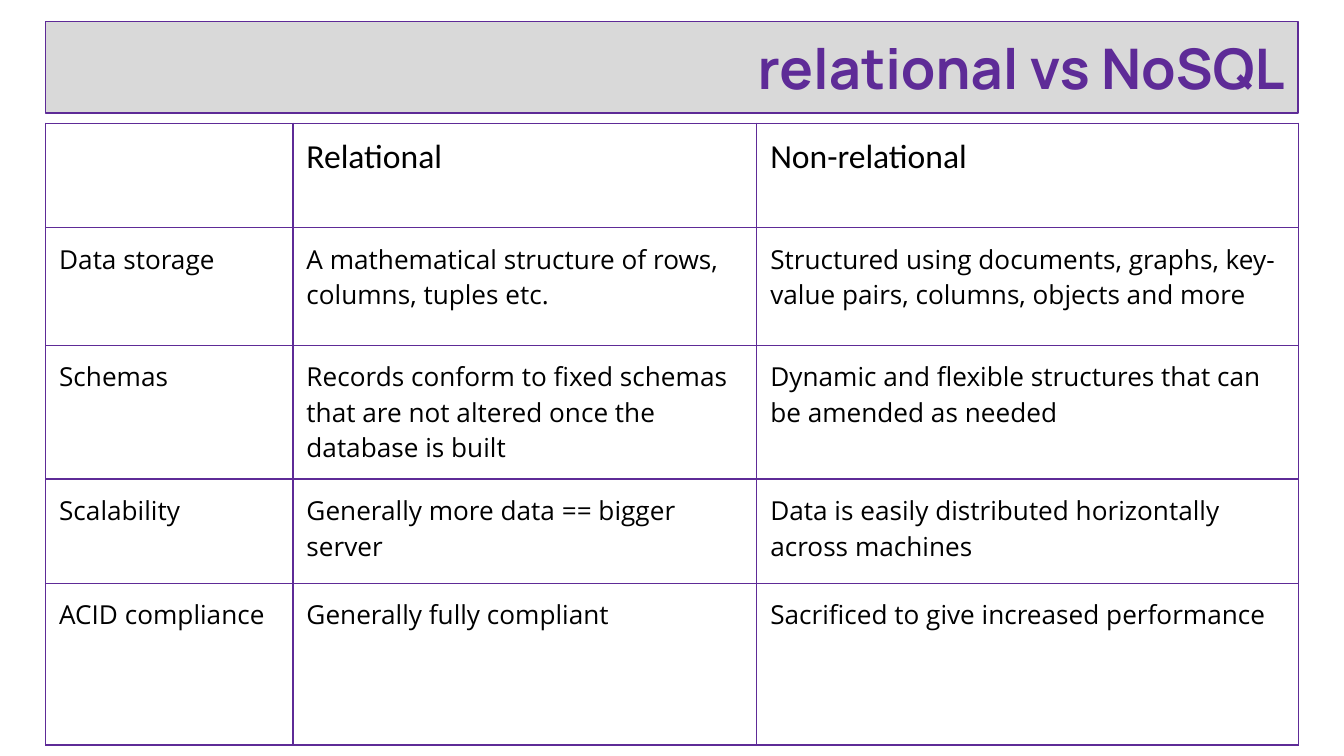
from pptx import Presentation
from pptx.dml.color import RGBColor
from pptx.enum.text import MSO_ANCHOR, MSO_AUTO_SIZE, PP_ALIGN
from pptx.oxml.ns import qn
from pptx.util import Pt
from lxml.etree import SubElement

COLORS = {"purple": "5E2B97", "grey": "D9D9D9", "white": "FFFFFF", "black": "000000"}
LEFT, WIDTH, PAD = 24.5, 671, 7.2
COLS = [132.5, 248.5, 290]
HEIGHTS = [56, 63, 63, 56, 86.5]
ROWS = [
    ["", "Relational", "Non-relational"],
    ["Data storage",
     "A mathematical structure of rows, columns, tuples etc.",
     "Structured using documents, graphs, key-value pairs, columns, objects and more"],
    ["Schemas",
     "Records conform to fixed schemas that are not altered once the database is built",
     "Dynamic and flexible structures that can be amended as needed"],
    ["Scalability",
     "Generally more data == bigger server",
     "Data is easily distributed horizontally across machines"],
    ["ACID compliance",
     "Generally fully compliant",
     "Sacrificed to give increased performance"],
]


class Deck:
    def __init__(self):
        self.file = Presentation()
        self.file.slide_width, self.file.slide_height = Pt(720), Pt(405)
        self.slide = self.file.slides.add_slide(self.file.slide_layouts[5])

    def color(self, name):
        return RGBColor.from_string(COLORS[name])

    def style(self, frame, face, size, color, bold=False):
        for para in frame.paragraphs:
            for run in para.runs:
                font = run.font
                font.name, font.size, font.bold = face, Pt(size), bold
                font.color.rgb = self.color(color)

    def inset(self, box):
        box.margin_left = box.margin_right = Pt(PAD)
        box.margin_top = box.margin_bottom = Pt(PAD)

    def title(self, text, top, height):
        shape = self.slide.shapes.title
        shape.left, shape.top = Pt(LEFT), Pt(top)
        shape.width, shape.height = Pt(WIDTH), Pt(height)
        shape.fill.solid()
        shape.fill.fore_color.rgb = self.color("grey")
        shape.line.color.rgb = self.color("purple")
        shape.line.width = Pt(0.75)
        frame = shape.text_frame
        frame.text = text
        frame.word_wrap = True
        frame.auto_size = MSO_AUTO_SIZE.NONE
        frame.vertical_anchor = MSO_ANCHOR.MIDDLE
        frame.paragraphs[0].alignment = PP_ALIGN.RIGHT
        self.inset(frame)
        self.style(frame, "Manrope", 30, "purple", True)

    def border(self, cell):
        props = cell._tc.get_or_add_tcPr()
        for index, side in enumerate(("lnL", "lnR", "lnT", "lnB")):
            line = SubElement(props, qn(f"a:{side}"), w=str(Pt(0.75)))
            props.insert(index, line)
            fill = SubElement(line, qn("a:solidFill"))
            SubElement(fill, qn("a:srgbClr"), val=COLORS["purple"])

    def table(self, rows, top):
        frame = self.slide.shapes.add_table(
            len(rows), len(COLS), Pt(LEFT), Pt(top), Pt(WIDTH), Pt(sum(HEIGHTS)))
        table = frame.table
        table.first_row = table.horz_banding = False
        for column, width in zip(table.columns, COLS):
            column.width = Pt(width)
        for row, height in zip(table.rows, HEIGHTS):
            row.height = Pt(height)
        for r, texts in enumerate(rows):
            face, size = ("Open Sans", 14) if r else ("Calibri", 18)
            for c, text in enumerate(texts):
                cell = table.cell(r, c)
                cell.text_frame.text = text
                self.inset(cell)
                self.style(cell.text_frame, face, size, "black")
                cell.fill.solid()
                cell.fill.fore_color.rgb = self.color("white")
                self.border(cell)


def main():
    deck = Deck()
    deck.title("relational vs NoSQL", 11.5, 49)
    deck.table(ROWS, 66)
    deck.file.save("out.pptx")


if __name__ == "__main__":
    main()
